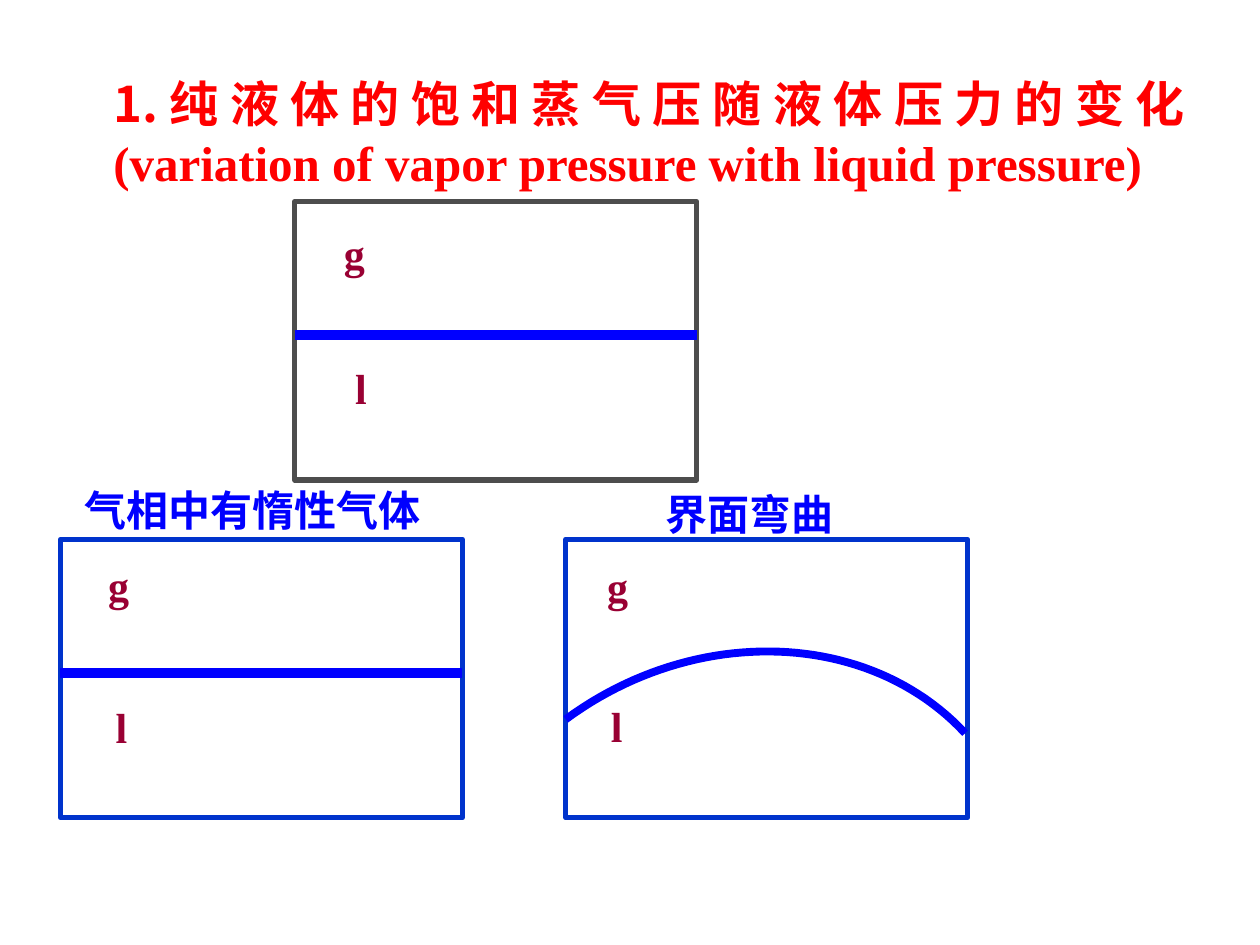
from lxml.etree import SubElement
from pptx import Presentation
from pptx.dml.color import RGBColor
from pptx.enum.shapes import MSO_CONNECTOR as Connector, MSO_SHAPE as Shape
from pptx.enum.text import MSO_ANCHOR as Anchor, MSO_AUTO_SIZE as AutoSize, PP_ALIGN as Align
from pptx.oxml.ns import qn
from pptx.util import Inches, Pt

COLORS = {"title": "FF0000", "caption": "0000FF", "surface": "0000FF",
          "phase": "990033", "gray": "4D4D4D", "blue": "0033CC"}
HAN, ROMAN, SANS = "Noto Sans CJK SC", "Times New Roman", "Arial"

TITLE = [("1.纯", HAN), ("液体的", ROMAN), ("饱和蒸气压随", HAN), ("液体压力", ROMAN),
         ("的变化", HAN), ("(variation of vapor pressure with liquid pressure)", ROMAN)]
CAPTIONS = [("气相中有惰性气体", 0.57, 3.8, 3.01), ("界面弯曲", 5.18, 3.83, 2.19)]

# Each vessel: left, top, frame colour, curved surface, offsets of the phase labels
VESSELS = [
    (2.34, 1.6, "gray", False, {"g": (0.29, 0.16), "l": (0.38, 1.23)}),
    (0.48, 4.28, "blue", False, {"g": (0.28, 0.11), "l": (0.34, 1.24)}),
    (4.49, 4.28, "blue", True, {"g": (0.23, 0.12), "l": (0.26, 1.23)}),
]
WIDTH, HEIGHT, SURFACE = 3.19, 2.21, 1.06
LABEL_WIDTH, LABEL_HEIGHT = 0.48, 0.5
# Control points of the curved surface, measured from the vessel's corner
CURVE = [(0, 1.43), (1.03, 0.67), (2.41, 0.72), (3.17, 1.54)]
STEPS = 48


def color(name):
    return RGBColor.from_string(COLORS[name])


def add_run(para, text, font, size, tint):
    span = para.add_run()
    span.text = text
    span.font.name, span.font.size, span.font.bold = font, Pt(size), True
    span.font.color.rgb = color(tint)
    SubElement(span.font._element, qn("a:ea"), typeface=HAN)


def add_label(shapes, text, left, top, width, font, tint):
    box = shapes.add_textbox(*map(Inches, (left, top, width, LABEL_HEIGHT)))
    box.text_frame.word_wrap = True
    add_run(box.text_frame.paragraphs[0], text, font, 24, tint)


def bezier(points, t):
    weights = ((1 - t) ** 3, 3 * t * (1 - t) ** 2, 3 * t * t * (1 - t), t ** 3)
    return tuple(sum(w * p[axis] for w, p in zip(weights, points)) for axis in (0, 1))


def add_surface(shapes, left, top, curved):
    if curved:
        dots = [tuple(Inches(base + part) for base, part in zip((left, top), bezier(CURVE, i / STEPS)))
                for i in range(STEPS + 1)]
        builder = shapes.build_freeform(*dots[0])
        builder.add_line_segments(dots[1:], close=False)
        line = builder.convert_to_shape()
        line.fill.background()
        line.shadow.inherit = False
    else:
        line = shapes.add_connector(Connector.STRAIGHT, *map(
            Inches, (left, top + SURFACE, left + WIDTH, top + SURFACE)))
        SubElement(line._element.spPr, qn("a:effectLst"))
    line.line.color.rgb = color("surface")
    line.line.width = Pt(4.5 if curved else 6)


def add_vessel(page, left, top, tint, curved, labels):
    shapes = page.shapes.add_group_shape().shapes
    frame = shapes.add_shape(Shape.RECTANGLE, *map(Inches, (left, top, WIDTH, HEIGHT)))
    frame.shadow.inherit = False
    frame.fill.background()
    frame.line.color.rgb = color(tint)
    frame.line.width = Pt(3)
    add_surface(shapes, left, top, curved)
    for phase, (right, down) in labels.items():
        add_label(shapes, phase, left + right, top + down, LABEL_WIDTH, ROMAN, "phase")


def main():
    deck = Presentation()
    deck.slide_width, deck.slide_height = Inches(10), Inches(7.5)
    page = deck.slides.add_slide(deck.slide_layouts[5])

    # Title
    title = page.shapes.title
    title.left, title.top, title.width, title.height = map(Inches, (0.8, 0.53, 8.7, 1.04))
    frame = title.text_frame
    frame.word_wrap, frame.auto_size = True, AutoSize.NONE
    frame.vertical_anchor = Anchor.MIDDLE
    para = frame.paragraphs[0]
    para.alignment = Align.JUSTIFY
    for text, font in TITLE:
        add_run(para, text, font, 28, "title")

    # Captions and vessels
    for text, left, top, width in CAPTIONS:
        add_label(page.shapes, text, left, top, width, SANS, "caption")
    for vessel in VESSELS:
        add_vessel(page, *vessel)

    deck.save("out.pptx")


if __name__ == "__main__":
    main()
